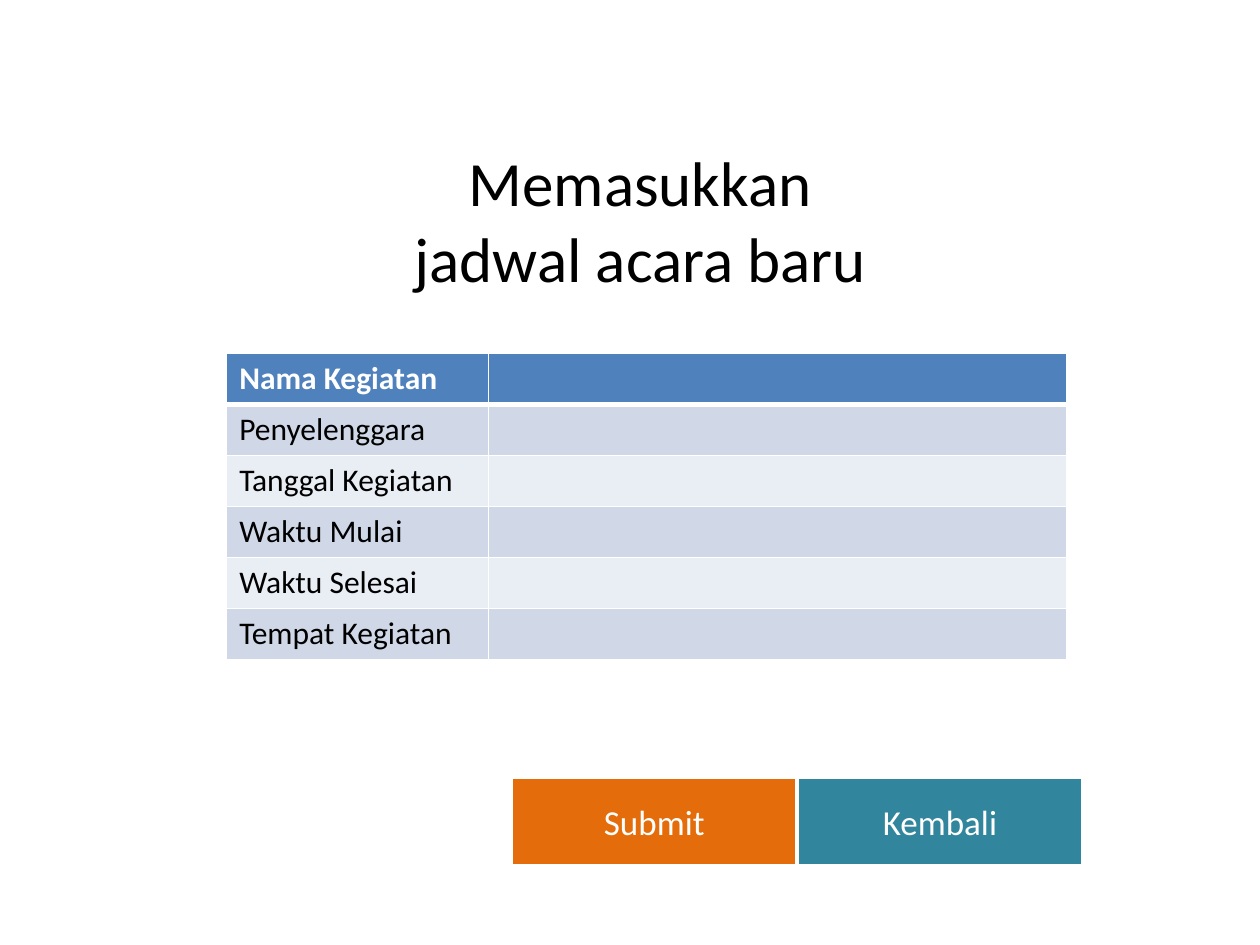
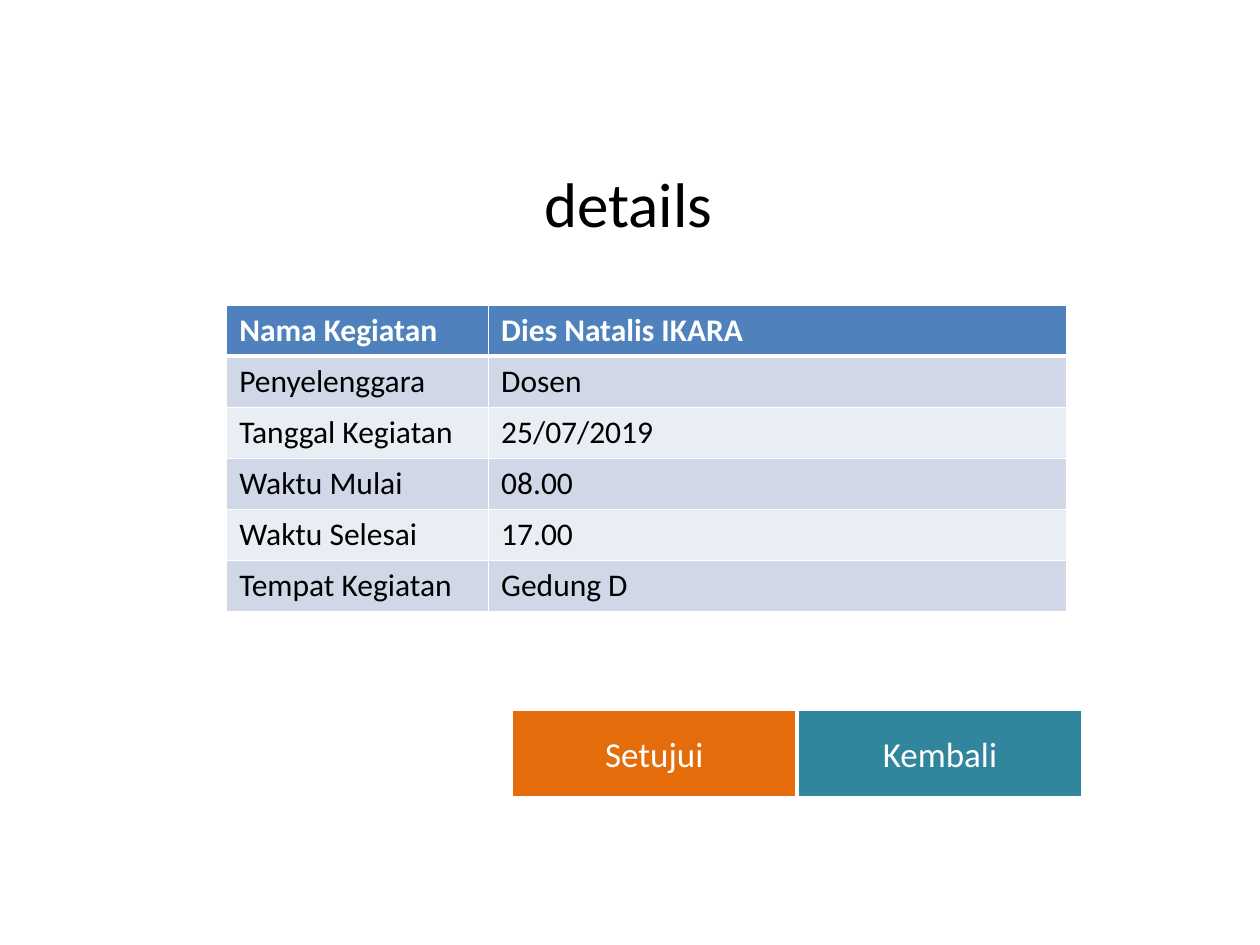
from lxml.etree import SubElement
from pptx import Presentation
from pptx.dml.color import RGBColor
from pptx.enum.shapes import MSO_SHAPE
from pptx.enum.text import MSO_ANCHOR, MSO_AUTO_SIZE, PP_ALIGN
from pptx.oxml.ns import qn
from pptx.util import Cm, Pt

FIELDS = ["Nama Kegiatan", "Penyelenggara", "Tanggal Kegiatan",
          "Waktu Mulai", "Waktu Selesai", "Tempat Kegiatan"]
EVENT = ["Dies Natalis IKARA", "Dosen", "25/07/2019", "08.00", "17.00", "Gedung D"]


def color(hex_string):
    return RGBColor.from_string(hex_string)


class FormDeck:
    FONT = "Calibri"
    WHITE, BLACK = "FFFFFF", "000000"
    HEADER, BANDS = "4F81BD", ("E9EDF4", "D0D8E8")
    ACTION, BACK = "E46C0A", "31859C"
    TITLE_ONLY = 5

    def __init__(self):
        self.presentation = Presentation()
        self.presentation.slide_width = Cm(25.4)
        self.presentation.slide_height = Cm(19.05)
        self.slide = None

    def add_slide(self):
        layout = self.presentation.slide_layouts[self.TITLE_ONLY]
        self.slide = self.presentation.slides.add_slide(layout)

    def format_text(self, text_frame, size, text_color, alignment=PP_ALIGN.LEFT, bold=False):
        for paragraph in text_frame.paragraphs:
            paragraph.alignment = alignment
            for run in paragraph.runs:
                run.font.name = self.FONT
                run.font.size = Pt(size)
                run.font.bold = bold
                run.font.color.rgb = color(text_color)

    def title(self, text, left, top, width, height, alignment):
        title = self.slide.shapes.title
        title.left, title.top = Cm(left), Cm(top)
        title.width, title.height = Cm(width), Cm(height)
        text_frame = title.text_frame
        text_frame.text = text
        text_frame.word_wrap = True
        text_frame.auto_size = MSO_AUTO_SIZE.NONE
        text_frame.vertical_anchor = MSO_ANCHOR.TOP
        self.format_text(text_frame, 36, self.BLACK, alignment)

    def cell_borders(self, cell, top, bottom):
        """Draw white borders; top and bottom are widths in points."""
        properties = cell._tc.get_or_add_tcPr()
        for side, width in (("L", 1), ("R", 1), ("T", top), ("B", bottom)):
            line = SubElement(properties, qn(f"a:ln{side}"), w=str(Pt(width)))
            fill = SubElement(line, qn("a:solidFill"))
            SubElement(fill, qn("a:srgbClr"), val=self.WHITE)

    def form_table(self, top, values):
        column_widths, row_height = (5.28, 11.65), 1.03
        table = self.slide.shapes.add_table(
            len(FIELDS), len(column_widths), Cm(4.57), Cm(top),
            Cm(sum(column_widths)), Cm(row_height * len(FIELDS))).table
        for column, width in zip(table.columns, column_widths):
            column.width = Cm(width)
        for row_index, texts in enumerate(zip(FIELDS, values)):
            header = row_index == 0
            for column_index, text in enumerate(texts):
                cell = table.cell(row_index, column_index)
                self.cell_borders(cell, 3 if row_index == 1 else 1, 3 if header else 1)
                cell.fill.solid()
                cell.fill.fore_color.rgb = color(
                    self.HEADER if header else self.BANDS[row_index % 2])
                cell.text_frame.text = text
                self.format_text(cell.text_frame, 18,
                                 self.WHITE if header else self.BLACK, bold=header)

    def button(self, text, left, top, width, fill_color):
        shape = self.slide.shapes.add_shape(
            MSO_SHAPE.RECTANGLE, Cm(left), Cm(top), Cm(width), Cm(1.78))
        shape.shadow.inherit = False
        shape.fill.solid()
        shape.fill.fore_color.rgb = color(fill_color)
        shape.line.color.rgb = color(self.WHITE)
        shape.line.width = Pt(2)
        shape.text_frame.text = text
        shape.text_frame.vertical_anchor = MSO_ANCHOR.MIDDLE
        self.format_text(shape.text_frame, 20, self.WHITE, PP_ALIGN.CENTER)

    def button_pair(self, top, action):
        left, width = 10.31, 5.76
        self.button("Kembali", left + width, top, width, self.BACK)
        self.button(action, left, top, width, self.ACTION)


def main():
    deck = FormDeck()

    deck.add_slide()
    deck.title("Memasukkan jadwal acara baru", 7.75, 2.77, 10.31, 3.33, PP_ALIGN.CENTER)
    deck.form_table(7.12, [""] * len(FIELDS))
    deck.button_pair(15.67, "Submit")

    deck.add_slide()
    deck.title("details", 10.72, 3.18, 6.15, 1.8, PP_ALIGN.LEFT)
    deck.form_table(6.15, EVENT)
    deck.button_pair(14.3, "Setujui")

    deck.presentation.save("out.pptx")


if __name__ == "__main__":
    main()
